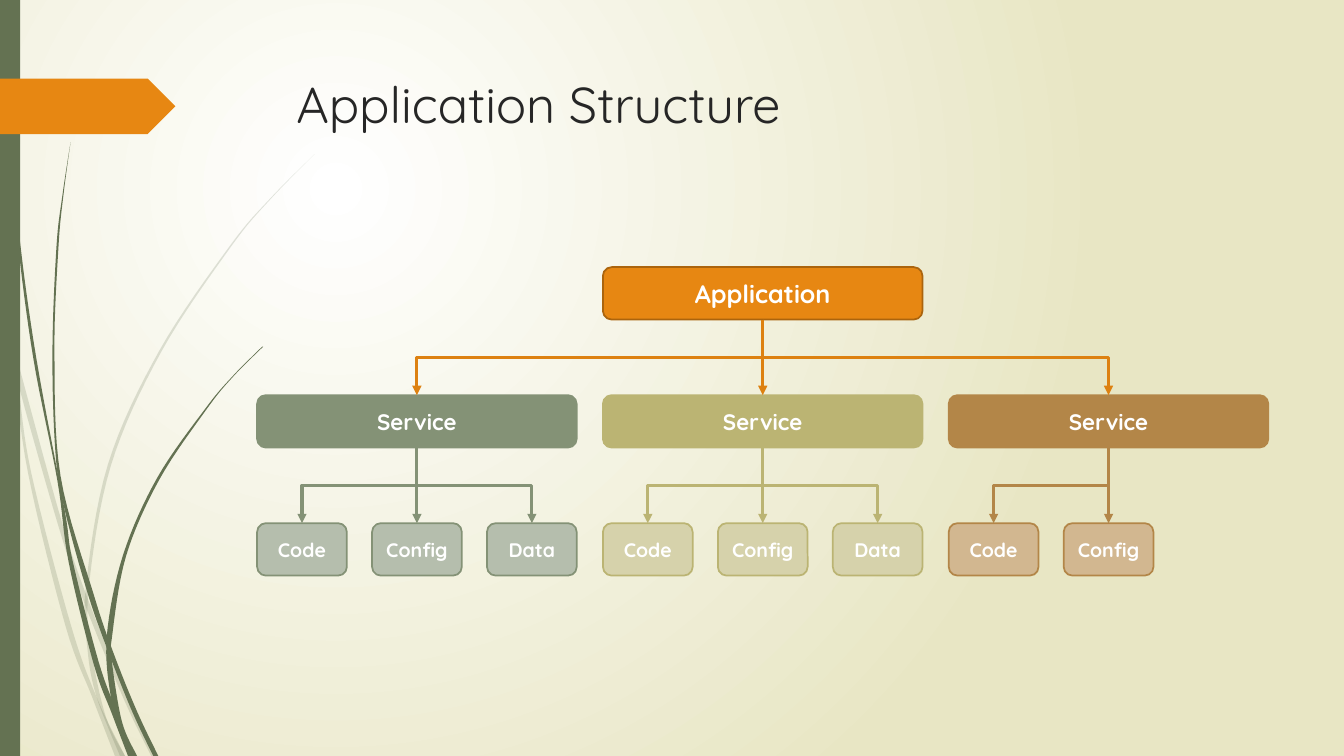
"""Build the Application Structure slide: a service tree beside curved grass blades."""
from lxml import etree
from pptx import Presentation
from pptx.dml.color import RGBColor
from pptx.enum import shapes, text
from pptx.oxml.ns import qn
from pptx.util import Inches, Pt

TITLE = "Application Structure"
ROOT = "Application"
SERVICES = [
    ("Service", "sage", "pale sage", ["Code", "Config", "Data"]),
    ("Service", "olive", "pale olive", ["Code", "Config", "Data"]),
    ("Service", "brown", "pale brown", ["Code", "Config"]),
]
HEX = {
    "white": "FFFFFF", "cream": "E8E6C4", "ink": "262626", "grass": "647252",
    "orange": "E78712", "rust": "AB640D", "arrow": "DD8111",
    "sage": "849276", "pale sage": "B5BEAD", "olive": "BBB473",
    "pale olive": "D6D2AB", "brown": "B38648", "pale brown": "D2B790",
}
FONT = "Quicksand"

FADED = [
    ([(0, 2.99), (0.11, 3.5), (0.28, 4.7), (0.65, 6.21), (0.92, 6.93), (1.14, 7.5)],
     [(1.24, 7.5), (0.96, 6.92), (0.7, 6.19), (0.31, 4.69), (0.17, 3.76), (0, 2.82)]),
    ([(0.14, 3.45), (0.17, 3.76), (0.58, 5.22), (0.84, 5.99), (1.23, 6.94), (1.5, 7.5)],
     [(1.55, 7.5), (1.27, 6.92), (0.92, 6.07), (0.62, 5.2), (0.14, 3.45)]),
    ([(3.12, 1.53), (2.68, 1.97), (2.28, 2.44), (1.58, 3.48), (1.07, 4.61),
      (0.85, 5.84), (0.87, 6.46), (0.96, 6.92), (1.19, 7.5)],
     [(1.24, 7.5), (1.05, 7.11), (0.91, 6.46), (0.88, 5.84), (1.1, 4.62),
      (1.6, 3.49), (2.29, 2.45), (2.68, 1.98), (3.12, 1.53)]),
]
SOLID = [
    ([(0.03, 0), (0.07, 1.1), (0.17, 2.33), (0.33, 3.55), (0.57, 4.77),
      (0.68, 5.57), (0.93, 6.59), (1.11, 7.08), (1.27, 7.5)],
     [(1.33, 7.5), (1.16, 7.06), (0.98, 6.57), (0.72, 5.56), (0.64, 5.05),
      (0.36, 3.55), (0.19, 2.32), (0.08, 1.09), (0.04, 0)]),
    ([(0.7, 1.41), (0.62, 1.93), (0.56, 2.45), (0.52, 3.49), (0.55, 4.49),
      (0.64, 5.05), (0.88, 5.92), (1.11, 6.56), (1.32, 7.08), (1.52, 7.5)],
     [(1.57, 7.5), (1.36, 7.06), (1.13, 6.49), (0.93, 5.9), (0.6, 4.72),
      (0.54, 3.49), (0.58, 2.45), (0.63, 1.93), (0.7, 1.41)]),
    ([(2.6, 3.44), (2.31, 3.73), (2.04, 4.05), (1.56, 4.74), (1.22, 5.51),
      (1.06, 6.31), (1.1, 6.91), (1.22, 7.25), (1.31, 7.5)],
     [(1.36, 7.5), (1.21, 7.16), (1.11, 6.56), (1.11, 6.33), (1.25, 5.52),
      (1.58, 4.76), (2.05, 4.06), (2.31, 3.74), (2.61, 3.44)]),
]

LEFT, TOP = 2.55, 2.65
COL, ROW, STEP = 3.43, 1.27, 1.14
WIDE, SLIM, HIGH = 3.17, 0.89, 0.52


def rgb(name):
    return RGBColor.from_string(HEX[name])


def curve(pts, steps=8):
    ends = [pts[0], *pts, pts[-1]]
    out = [pts[0]]
    for a, b, c, d in zip(ends, ends[1:], ends[2:], ends[3:]):
        for k in range(1, steps + 1):
            t = k / steps
            out.append(tuple(
                (2 * q + (r - p) * t + (2 * p - 5 * q + 4 * r - s) * t ** 2
                 + (3 * q - p - 3 * r + s) * t ** 3) / 2
                for p, q, r, s in zip(a, b, c, d)))
    return out


def paint(shape, fill, edge=None):
    shape.shadow.inherit = False
    shape.fill.solid()
    shape.fill.fore_color.rgb = rgb(fill)
    if edge:
        shape.line.color.rgb = rgb(edge)
        shape.line.width = Pt(1.25)
    else:
        shape.line.fill.background()


def write(shape, words, size, color, bold):
    frame = shape.text_frame
    frame.word_wrap = True
    frame.text = words
    font = frame.paragraphs[0].runs[0].font
    font.name, font.size, font.bold = FONT, Pt(size), bold
    font.color.rgb = rgb(color)
    return frame


def blade(slide, down, up, alpha=None):
    pts = [(Inches(x), Inches(y)) for x, y in curve(down) + curve(up)]
    pen = slide.shapes.build_freeform(*pts[0])
    pen.add_line_segments(pts[1:], close=True)
    shape = pen.convert_to_shape()
    paint(shape, "grass")
    if alpha:
        tint = shape.fill._xPr.find(".//" + qn("a:srgbClr"))
        etree.SubElement(tint, qn("a:alpha"), val=str(alpha * 1000))


def box(slide, x, row, wide, words, size, fill, edge):
    shape = slide.shapes.add_shape(
        shapes.MSO_SHAPE.ROUNDED_RECTANGLE, Inches(x), Inches(TOP + row * ROW),
        Inches(wide), Inches(HIGH))
    paint(shape, fill, edge)
    frame = write(shape, words, size, "white", True)
    frame.vertical_anchor = text.MSO_ANCHOR.MIDDLE
    frame.paragraphs[0].alignment = text.PP_ALIGN.CENTER
    return x + wide / 2


def link(slide, start, end, row, color):
    drop, span = ROW - HIGH, abs(end - start)
    side = 1 if end > start else -1
    midx, midy = (start + end) / 2, TOP + row * ROW + HIGH + drop / 2
    line = slide.shapes.add_connector(
        shapes.MSO_CONNECTOR.ELBOW,
        Inches(midx + side * drop / 2), Inches(midy - span / 2),
        Inches(midx - side * drop / 2), Inches(midy + span / 2))
    line.line.color.rgb = rgb(color)
    line.line.width = Pt(2.25)
    props = line._element.spPr
    props.find(qn("a:xfrm")).set("rot", "16200000" if side > 0 else "5400000")
    etree.SubElement(props.find(qn("a:ln")), qn("a:tailEnd"), type="triangle")
    etree.SubElement(props, qn("a:effectLst"))


def backdrop(slide):
    fill = slide.background.fill
    fill.gradient()
    for stop, name in zip(fill.gradient_stops, ("white", "cream")):
        stop.color.rgb = rgb(name)
    grad = slide._element.find(".//" + qn("a:gradFill"))
    glow = etree.Element(qn("a:path"), path="circle")
    etree.SubElement(glow, qn("a:fillToRect"), l="50000", t="50000", r="100000", b="100000")
    grad.replace(grad.find(qn("a:lin")), glow)


def main():
    deck = Presentation()
    deck.slide_width, deck.slide_height = Inches(13.33), Inches(7.5)
    slide = deck.slides.add_slide(deck.slide_layouts[6])
    backdrop(slide)
    for down, up in FADED:
        blade(slide, down, up, 20)
    for down, up in SOLID:
        blade(slide, down, up)
    add = slide.shapes.add_shape
    paint(add(shapes.MSO_SHAPE.RECTANGLE, 0, 0, Inches(0.2), Inches(7.5)), "grass")
    paint(add(shapes.MSO_SHAPE.PENTAGON, 0, Inches(0.78), Inches(1.74), Inches(0.55)), "orange")
    head = slide.shapes.add_textbox(Inches(2.84), Inches(0.68), Inches(9.75), Inches(1.4))
    write(head, TITLE, 36, "ink", False)

    root = box(slide, LEFT + COL, 0, WIDE, ROOT, 18, "orange", "rust")
    for i, (name, color, pale, parts) in enumerate(SERVICES):
        x = LEFT + i * COL
        hub = box(slide, x, 1, WIDE, name, 16, color, color)
        link(slide, root, hub, 0, "arrow")
        for j, part in enumerate(parts):
            leaf = box(slide, x + j * STEP, 2, SLIM, part, 14, pale, color)
            link(slide, hub, leaf, 1, color)
    deck.save("out.pptx")


if __name__ == "__main__":
    main()
